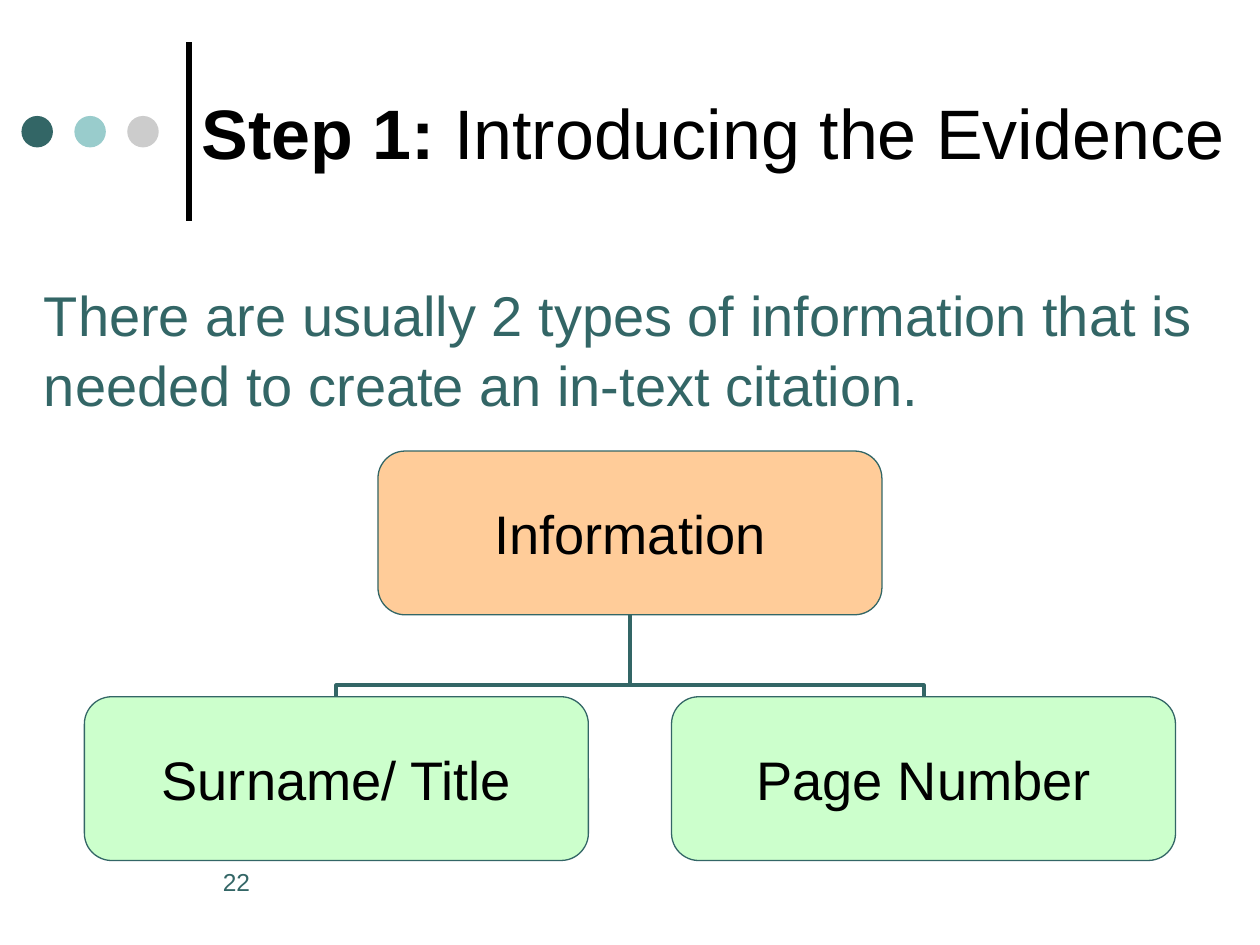
from pptx import Presentation
from pptx.dml.color import RGBColor
from pptx.enum.shapes import MSO_CONNECTOR, MSO_SHAPE
from pptx.enum.text import MSO_ANCHOR, MSO_AUTO_SIZE, PP_ALIGN
from pptx.oxml.ns import qn
from pptx.util import Pt
from lxml.etree import SubElement

EMU_PER_PX = 9144  # 100 px to the inch
COLORS = {"ink": "000000", "teal": "336666", "aqua": "99CCCC", "gray": "CCCCCC",
          "peach": "FFCC99", "mint": "CCFFCC"}


def px(value):
    return round(value * EMU_PER_PX)


def rgb(name):
    return RGBColor.from_string(COLORS[name])


class SlideBuilder:
    font = "Arial"

    def __init__(self, s):
        self.s = s

    def fill_text(self, tf, runs, size, color, frame, paragraph):
        """Fill a text frame with (text, bold) runs."""
        for name, value in frame.items():
            setattr(tf, name, value)
        p = tf.paragraphs[0]
        for name, value in paragraph.items():
            setattr(p, name, value)
        for text, bold in runs:
            r = p.add_run()
            r.text = text
            style = {"name": self.font, "size": Pt(size), "bold": bold}
            for name, value in style.items():
                setattr(r.font, name, value)
            r.font.color.rgb = rgb(color)

    def title(self, x, y, w, h, runs, size):
        sp = self.s.shapes.title
        sp.left, sp.top, sp.width, sp.height = map(px, (x, y, w, h))
        frame = {"vertical_anchor": MSO_ANCHOR.MIDDLE, "word_wrap": True,
                 "auto_size": MSO_AUTO_SIZE.NONE}
        self.fill_text(sp.text_frame, runs, size, "ink", frame, {"alignment": PP_ALIGN.LEFT})

    def text(self, x, y, w, h, text, size, spacing=1.0):
        sp = self.s.shapes.add_textbox(*map(px, (x, y, w, h)))
        self.fill_text(sp.text_frame, [(text, False)], size, "teal",
                       {"word_wrap": True}, {"line_spacing": spacing})

    def shape(self, kind, x, y, w, h, fill, line=None):
        sp = self.s.shapes.add_shape(kind, *map(px, (x, y, w, h)))
        sp.shadow.inherit = False
        sp.fill.solid()
        sp.fill.fore_color.rgb = rgb(fill)
        if line:
            sp.line.color.rgb = rgb(line)
            sp.line.width = Pt(0.75)
        else:
            sp.line.fill.background()
        return sp

    def node(self, x, y, w, h, label, fill):
        sp = self.shape(MSO_SHAPE.ROUNDED_RECTANGLE, x, y, w, h, fill, "teal")
        frame = {"vertical_anchor": MSO_ANCHOR.MIDDLE, "word_wrap": False}
        frame.update({f"margin_{side}": 0 for side in ("left", "top", "right", "bottom")})
        self.fill_text(sp.text_frame, [(label, False)], 31, "ink", frame,
                       {"alignment": PP_ALIGN.CENTER})

    def line(self, x1, y1, x2, y2, color, width, kind=MSO_CONNECTOR.STRAIGHT):
        cx = self.s.shapes.add_connector(kind, *map(px, (x1, y1, x2, y2)))
        cx.line.color.rgb = rgb(color)
        cx.line.width = Pt(width)
        SubElement(cx._element.spPr, qn("a:effectLst"))
        return cx

    def branch(self, child_x, child_y, parent_x, parent_y):
        """Elbow from a child's top up to its parent's bottom, as a turned connector."""
        side = 1 if child_x > parent_x else -1
        mid_x, mid_y = (child_x + parent_x) / 2, (child_y + parent_y) / 2
        rise = side * (child_y - parent_y) / 2
        reach = abs(child_x - parent_x) / 2
        cx = self.line(mid_x - rise, mid_y + reach, mid_x + rise, mid_y - reach,
                       "teal", 2.25, MSO_CONNECTOR.ELBOW)
        spPr = cx._element.spPr
        spPr.find(qn("a:xfrm")).set("rot", str((270 if side > 0 else 90) * 60000))
        geom = spPr.find(qn("a:prstGeom"))
        guides = geom.find(qn("a:avLst"))
        if guides is None:
            guides = SubElement(geom, qn("a:avLst"))
        SubElement(guides, qn("a:gd"), name="adj1", fmla="val 13900")


def main():
    prs = Presentation()
    prs.slide_width, prs.slide_height = px(1000), px(750)
    b = SlideBuilder(prs.slides.add_slide(prs.slide_layouts[5]))

    # Header rule and dots
    b.line(150, 175, 150, 33, "ink", 3)
    for i, color in enumerate(("teal", "aqua", "gray")):
        b.shape(MSO_SHAPE.OVAL, 17 + 42 * i, 92, 25, 25, color)

    # Title, introduction and slide number
    b.title(150, 21, 833, 167, [("Step 1: ", True), ("Introducing the Evidence", False)], 40)
    b.text(25, 215, 942, 117, "There are usually 2 types of information that is "
           "needed to create an in-text citation.", 32, 1.05)
    b.text(167, 683, 142, 50, "22", 14)

    # Hierarchy: one parent over two children
    node_w, node_h = 400, 130
    parent_x, parent_y, child_y = 300, 358, 553
    children = {"Surname/ Title": 67, "Page Number": 533}
    for x in children.values():
        b.branch(x + node_w // 2, child_y, parent_x + node_w // 2, parent_y + node_h)
    b.node(parent_x, parent_y, node_w, node_h, "Information", "peach")
    for label, x in children.items():
        b.node(x, child_y, node_w, node_h, label, "mint")

    prs.save("out.pptx")


if __name__ == "__main__":
    main()
